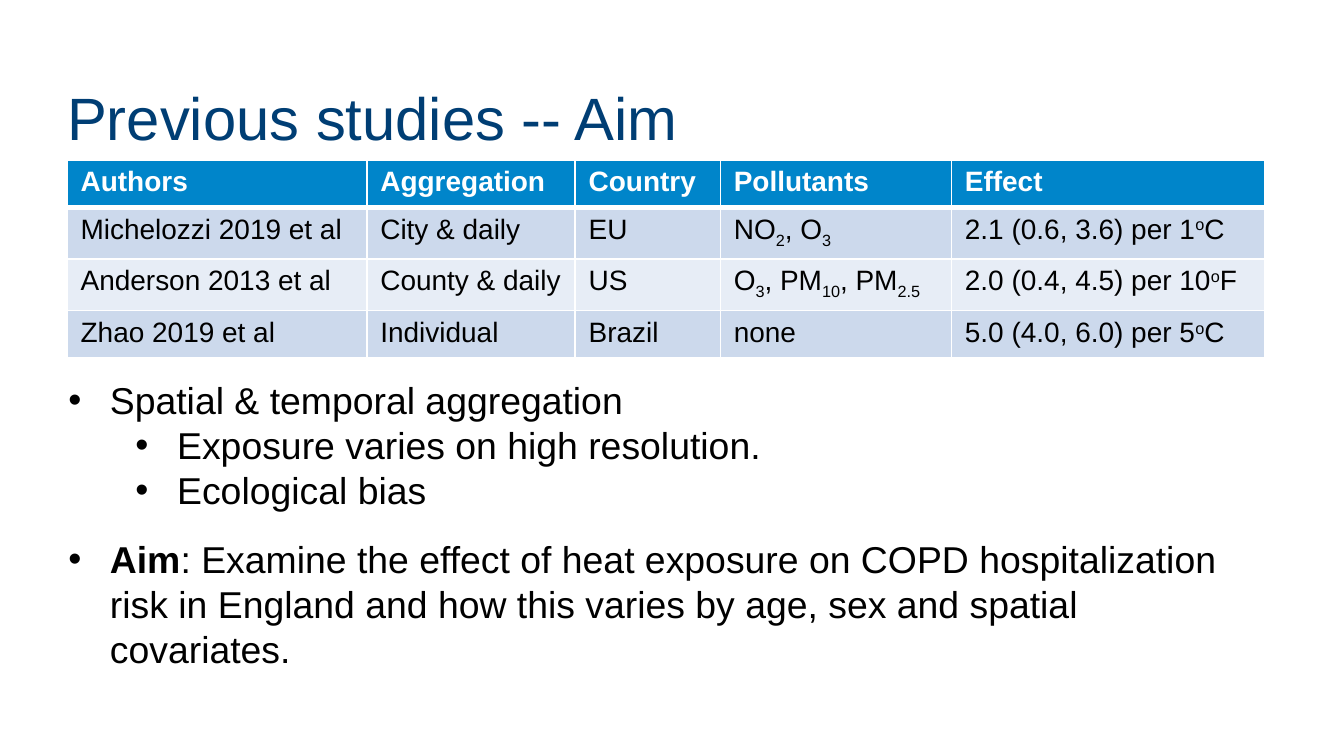
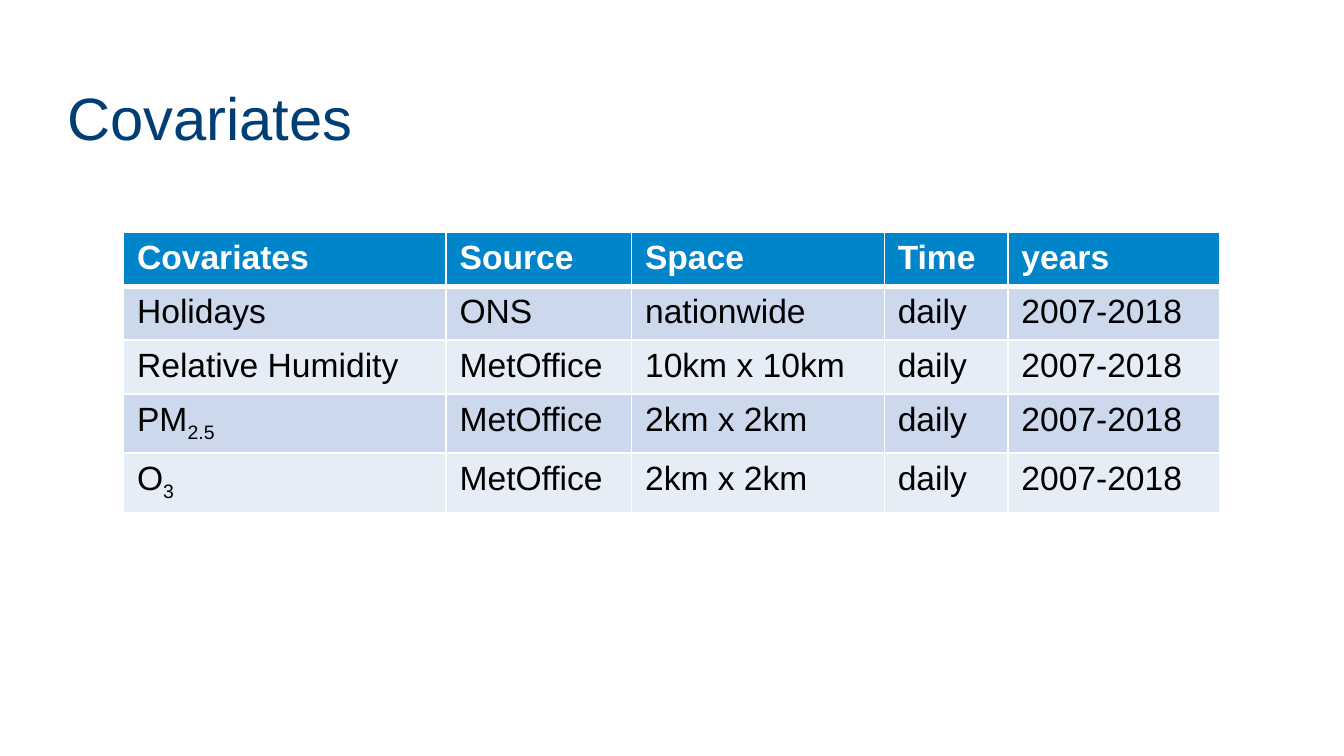
from dataclasses import dataclass

from lxml.etree import SubElement
from pptx import Presentation
from pptx.dml.color import RGBColor
from pptx.enum.text import MSO_ANCHOR, MSO_AUTO_SIZE
from pptx.oxml import parse_xml
from pptx.oxml.ns import nsdecls, qn
from pptx.util import Inches, Pt

# Shared look
FONT = "Arial"
NAVY = RGBColor(0x00, 0x3E, 0x74)
BLUE = RGBColor(0x00, 0x85, 0xCA)
BAND_DARK = RGBColor(0xCC, 0xD9, 0xEC)
BAND_LIGHT = RGBColor(0xE7, 0xED, 0xF6)
WHITE = RGBColor(0xFF, 0xFF, 0xFF)
BLACK = RGBColor(0x00, 0x00, 0x00)
SLIDE_WIDTH = Inches(10)
SLIDE_HEIGHT = SLIDE_WIDTH * 9 // 16
HANGING = Inches(0.31)
LEVEL_STEP = Inches(0.5)

# Inline marks: ~subscript~, ^superscript^, *bold*
MARKS = {"~": ("baseline", "-25000"), "^": ("baseline", "30000"), "*": ("b", "1")}


@dataclass
class TableSpec:
    left: float
    top: float
    size: int
    cols: list[float]
    rows: list[float]
    cells: list[list[str]]


@dataclass
class Bullet:
    text: str
    level: int = 0


@dataclass
class BulletBox:
    top: float
    bullets: list[Bullet]


def add_run(p, text: str, size: int, color: RGBColor, bold: bool = False):
    r = p.add_run()
    r.text = text
    for name, value in {"name": FONT, "size": Pt(size), "bold": bold}.items():
        setattr(r.font, name, value)
    r.font.color.rgb = color
    return r


def add_text(p, text: str, size: int, color: RGBColor, bold: bool = False) -> None:
    """Write text into a paragraph, one run for each marked or plain part."""
    mark, part = "", ""
    for ch in [*text, ""]:
        if ch and ch not in MARKS:
            part += ch
            continue
        if part:
            r = add_run(p, part, size, color, bold)
            if mark:
                r._r.get_or_add_rPr().set(*MARKS[mark])
        mark, part = ("" if mark else ch), ""


def add_box(slide, left: float, top: float, width: float, height: float):
    sp = slide.shapes.add_textbox(Inches(left), Inches(top), Inches(width), Inches(height))
    sp.text_frame.word_wrap = True
    return sp.text_frame


def add_title(slide, text: str) -> None:
    tf = add_box(slide, 0.5, 0.63, 9, 0.42)
    settings = {"margin_left": 0, "margin_right": 0, "margin_bottom": 0,
                "margin_top": Inches(0.05), "vertical_anchor": MSO_ANCHOR.MIDDLE}
    for name, value in settings.items():
        setattr(tf, name, value)
    add_text(tf.paragraphs[0], text, 32, NAVY)


def add_bullets(slide, box: BulletBox) -> None:
    tf = add_box(slide, 0.41, box.top, 9, 1.11)
    tf.auto_size = MSO_AUTO_SIZE.SHAPE_TO_FIT_TEXT
    for i, bullet in enumerate(box.bullets):
        p = tf.add_paragraph() if i else tf.paragraphs[0]
        p.level = bullet.level
        pPr = p._p.get_or_add_pPr()
        pPr.set("marL", str(HANGING + bullet.level * LEVEL_STEP))
        pPr.set("indent", str(-HANGING))
        SubElement(pPr, qn("a:buFont")).set("typeface", FONT)
        SubElement(pPr, qn("a:buChar")).set("char", "•")
        add_text(p, bullet.text, 20, BLACK)


def set_borders(cell, row: int) -> None:
    """White rules, thicker between the header and the body."""
    widths = {"L": 1, "R": 1, "T": 3 if row == 1 else 1, "B": 3 if row == 0 else 1}
    tcPr = cell._tc.get_or_add_tcPr()
    for i, (side, width) in enumerate(widths.items()):
        tcPr.insert(i, parse_xml(
            f'<a:ln{side} {nsdecls("a")} w="{Pt(width)}"><a:solidFill>'
            f'<a:srgbClr val="{WHITE}"/></a:solidFill></a:ln{side}>'))


def add_grid(slide, spec: TableSpec) -> None:
    table = slide.shapes.add_table(
        len(spec.rows), len(spec.cols), Inches(spec.left), Inches(spec.top),
        Inches(sum(spec.cols)), Inches(sum(spec.rows))).table
    for col, width in zip(table.columns, spec.cols):
        col.width = Inches(width)
    for row, height in zip(table.rows, spec.rows):
        row.height = Inches(height)
    for i, texts in enumerate(spec.cells):
        header = i == 0
        fill = BLUE if header else (BAND_LIGHT, BAND_DARK)[i % 2]
        for j, text in enumerate(texts):
            cell = table.cell(i, j)
            cell.fill.solid()
            cell.fill.fore_color.rgb = fill
            set_borders(cell, i)
            add_text(cell.text_frame.paragraphs[0], text, spec.size,
                     WHITE if header else BLACK, header)


STUDIES = TableSpec(
    0.5, 1.19, 15, [2.23, 1.55, 1.08, 1.72, 2.33], [0.33, 0.36, 0.36, 0.33],
    [["Authors", "Aggregation", "Country", "Pollutants", "Effect"],
     ["Michelozzi 2019 et al", "City & daily", "EU", "NO~2~, O~3~",
      "2.1 (0.6, 3.6) per 1^o^C"],
     ["Anderson 2013 et al", "County & daily", "US", "O~3~, PM~10~, PM~2.5~",
      "2.0 (0.4, 4.5) per 10^o^F"],
     ["Zhao 2019 et al", "Individual", "Brazil", "none", "5.0 (4.0, 6.0) per 5^o^C"]])

PERIOD = ["daily", "2007-2018"]
COVARIATES = TableSpec(
    0.92, 1.73, 18, [2.4, 1.38, 1.88, 0.92, 1.58], [0.38, 0.38, 0.38, 0.42, 0.42],
    [["Covariates", "Source", "Space", "Time", "years"],
     ["Holidays", "ONS", "nationwide", *PERIOD],
     ["Relative Humidity", "MetOffice", "10km x 10km", *PERIOD],
     ["PM~2.5~", "MetOffice", "2km x 2km", *PERIOD],
     ["O~3~", "MetOffice", "2km x 2km", *PERIOD]])

AIM_BOXES = [
    BulletBox(2.76, [Bullet("Spatial & temporal aggregation"),
                     Bullet("Exposure varies on high resolution.", 1),
                     Bullet("Ecological bias", 1)]),
    BulletBox(3.94, [Bullet("*Aim*: Examine the effect of heat exposure on COPD "
                            "hospitalization risk in England and how this varies by "
                            "age, sex and spatial covariates.")]),
]

# Title, table and bullet boxes of each slide
SLIDES = [("Previous studies -- Aim", STUDIES, AIM_BOXES),
          ("Covariates", COVARIATES, [])]


def main() -> None:
    prs = Presentation()
    prs.slide_width, prs.slide_height = SLIDE_WIDTH, SLIDE_HEIGHT
    for title, spec, boxes in SLIDES:
        slide = prs.slides.add_slide(prs.slide_layouts[6])
        add_title(slide, title)
        add_grid(slide, spec)
        for box in boxes:
            add_bullets(slide, box)
    prs.save("out.pptx")


if __name__ == "__main__":
    main()
